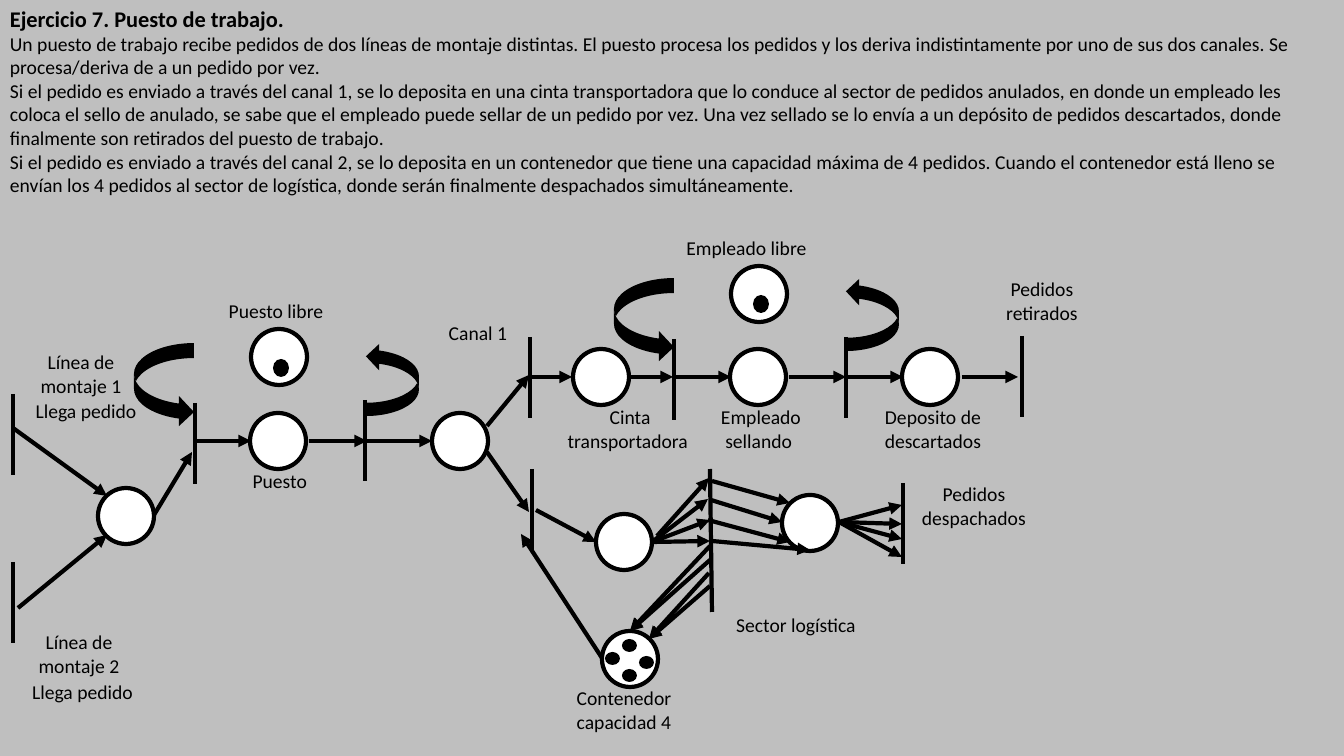
from pptx import Presentation
from pptx import util as u
from pptx.dml.color import RGBColor
from pptx.enum import shapes, text
from pptx.oxml.ns import qn
from lxml import etree

PX = 914400 / 100.8
COLORS = {"background": "BFBFBF", "ink": "000000", "place": "FFFFFF"}
FONT = "Calibri"
PLACE, BAR = 56, 81  # place diameter, transition height


class Net:
    """Slide with the drawing style of a Petri net."""

    def __init__(self, deck):
        self.slide = deck.slides.add_slide(deck.slide_layouts[6])
        self.shapes = self.slide.shapes
        fill = self.slide.background.fill
        fill.solid()
        fill.fore_color.rgb = self.color("background")

    def color(self, name):
        return RGBColor.from_string(COLORS[name])

    def emu(self, *pixels):
        return [u.Emu(round(p * PX)) for p in pixels]

    def shape(self, kind, box, fill, outlined=False):
        shape = self.shapes.add_shape(kind, *self.emu(*box))
        shape.shadow.inherit = False
        shape.fill.solid()
        shape.fill.fore_color.rgb = self.color(fill)
        if outlined:
            shape.line.color.rgb = self.color("ink")
            shape.line.width = u.Pt(3)
        else:
            shape.line.fill.background()
        return shape

    def circle(self, x, y, w, h, fill, outlined=False):
        self.shape(shapes.MSO_SHAPE.OVAL, (x - w // 2, y - h // 2, w, h), fill, outlined)

    def place(self, x, y):
        self.circle(x, y, PLACE, PLACE, "place", True)

    def token(self, x, y, w, h):
        self.circle(x, y, w, h, "ink")

    def loop(self, x, y, w, h, flip):
        arrow = self.shape(shapes.MSO_SHAPE.CURVED_DOWN_ARROW, (x, y, w, h), "ink")
        arrow.rotation = 90
        arrow._element.spPr.find(qn("a:xfrm")).set(flip, "1")

    def line(self, x1, y1, x2, y2, arrow=False):
        line = self.shapes.add_connector(shapes.MSO_CONNECTOR.STRAIGHT, *self.emu(x1, y1, x2, y2))
        line.line.color.rgb = self.color("ink")
        line.line.width = u.Pt(3)
        if arrow:
            etree.SubElement(line.line._get_or_add_ln(), qn("a:tailEnd"), type="triangle")
        etree.SubElement(line._element.spPr, qn("a:effectLst"))

    def text(self, box, words, centered=True, heading=False):
        frame = self.shapes.add_textbox(*self.emu(*box)).text_frame
        frame.word_wrap = True
        frame.text = words
        for i, paragraph in enumerate(frame.paragraphs):
            paragraph.alignment = text.PP_ALIGN.CENTER if centered else text.PP_ALIGN.LEFT
            font = paragraph.runs[0].font
            is_title = heading and i == 0
            font.name, font.bold = FONT, is_title
            font.size = u.Pt(16 if is_title else 14)
            font.color.rgb = self.color("ink")


deck = Presentation()
deck.slide_width, deck.slide_height = (u.Emu(round(p * PX)) for p in (1344, 756))
net = Net(deck)

# Statement of the exercise
net.text((0, 0, 1344, 204), "\n".join([
    "Ejercicio 7. Puesto de trabajo.",
    "Un puesto de trabajo recibe pedidos de dos líneas de montaje distintas. El puesto procesa "
    "los pedidos y los deriva indistintamente por uno de sus dos canales. Se procesa/deriva de "
    "a un pedido por vez.",
    "Si el pedido es enviado a través del canal 1, se lo deposita en una cinta transportadora "
    "que lo conduce al sector de pedidos anulados, en donde un empleado les coloca el sello de "
    "anulado, se sabe que el empleado puede sellar de un pedido por vez. Una vez sellado se lo "
    "envía a un depósito de pedidos descartados, donde finalmente son retirados del puesto de "
    "trabajo.",
    "Si el pedido es enviado a través del canal 2, se lo deposita en un contenedor que tiene una "
    "capacidad máxima de 4 pedidos. Cuando el contenedor está lleno se envían los 4 pedidos al "
    "sector de logística, donde serán finalmente despachados simultáneamente.",
]), centered=False, heading=True)

# Transitions
for x, top in [(13, 394), (13, 562), (195, 403), (365, 400), (530, 337), (674, 339),
               (846, 337), (1022, 336), (532, 469), (903, 483)]:
    net.line(x, top, x, top + BAR)
net.line(710, 469, 712, 612)

# Loops that take and free the workstation and the employee
for x, y in [(122, 355), (602, 290)]:
    net.loop(x, y, 84, 60, "flipV")
    net.loop(x + 234, y - 2, 73, 53, "flipH")

# Places
for x, y in [(126, 516), (279, 357), (278, 441), (460, 441), (601, 377), (759, 294),
             (758, 377), (930, 377), (624, 542), (630, 659), (810, 523)]:
    net.place(x, y)

# Tokens
for x, y in [(281, 368), (761, 304)]:
    net.token(x, y, 16, 18)
for x, y in [(612, 658), (629, 675), (629, 645), (646, 662)]:
    net.token(x, y, 15, 13)

# Horizontal arcs: y, then start and end of each
for y, spans in [(441, [(195, 251), (309, 367), (362, 432)]),
                 (377, [(531, 572), (631, 673), (674, 731), (789, 846), (847, 903), (962, 1018)])]:
    for start, end in spans:
        net.line(start, y, end, y, arrow=True)

# Slanted arcs
assembly = [(13, 428, 107, 496), (18, 608, 107, 535), (154, 515, 192, 452)]
channels = [(487, 426, 529, 375), (487, 452, 529, 512), (536, 510, 596, 542),
            (602, 658, 521, 534)]
to_logistics = [(652, 542, 708, 499), (652, 542, 710, 520), (657, 536, 709, 478),
                (652, 542, 710, 541)]
to_container = [(710, 546, 630, 631), (710, 560, 630, 631), (710, 586, 649, 639),
                (709, 573, 649, 639)]
from_logistics = [(712, 481, 790, 503), (711, 500, 782, 522), (708, 520, 790, 542),
                  (712, 541, 810, 550)]
dispatch = [(839, 522, 902, y) for y in (505, 524, 539, 557)]
for arc in assembly + channels + to_logistics + to_container + from_logistics + dispatch:
    net.line(*arc, arrow=True)

# Labels
for x, y, width, words in [
    (23, 394, 126, "Llega pedido"),
    (15, 345, 132, "Línea de montaje 1"),
    (18, 675, 129, "Llega pedido"),
    (13, 625, 132, "Línea de montaje 2"),
    (210, 294, 132, "Puesto libre"),
    (216, 464, 132, "Puesto "),
    (412, 316, 132, "Canal 1"),
    (673, 231, 147, "Empleado libre"),
    (695, 400, 132, "Empleado sellando "),
    (552, 400, 156, "Cinta transportadora "),
    (867, 400, 132, "Deposito de descartados"),
    (976, 272, 132, "Pedidos retirados"),
    (546, 681, 156, "Contenedor capacidad 4"),
    (718, 608, 156, "Sector logística"),
    (908, 477, 132, "Pedidos despachados"),
]:
    net.text((x, y, width, 34), words)

deck.save("out.pptx")
